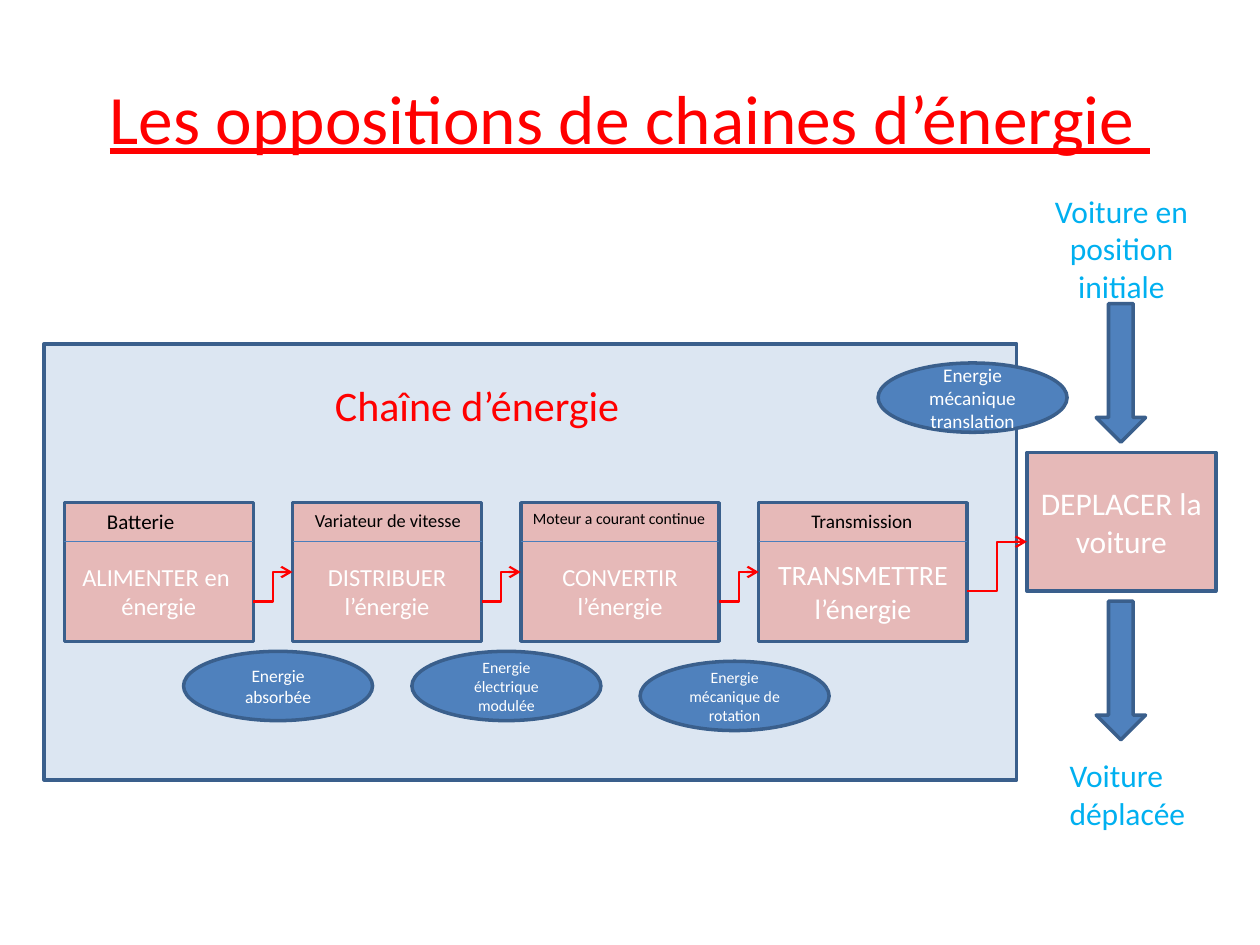
from lxml.etree import SubElement
from pptx import Presentation
from pptx.dml.color import RGBColor
from pptx.enum.shapes import MSO_CONNECTOR, MSO_SHAPE
from pptx.enum.text import MSO_ANCHOR, PP_ALIGN
from pptx.oxml.ns import qn
from pptx.util import Pt

RED = RGBColor(0xFF, 0x00, 0x00)
WHITE = RGBColor(0xFF, 0xFF, 0xFF)
BLACK = RGBColor(0x00, 0x00, 0x00)
SKY = RGBColor(0x00, 0xB0, 0xF0)
BLUE = RGBColor(0x4F, 0x81, 0xBD)
DIVIDER = RGBColor(0x4B, 0x7E, 0xBC)
OUTLINE = RGBColor(0x3A, 0x5F, 0x8C)
PALE = RGBColor(0xDC, 0xE6, 0xF2)
PINK = RGBColor(0xE6, 0xB9, 0xB8)
FONT = "Calibri"

TITLE = "Les oppositions de chaines d’énergie "
CHAIN = (25.2, 196.5, 555.8, 249.2)
CHAIN_LABEL = ("Chaîne d’énergie", 24, RED, (184.3, 213.1, 266.4, 36))

STAGE_TOP, STAGE_HEIGHT, HEADER_HEIGHT = 287.3, 79.2, 22.3
STAGES = [
    {"left": 36.8, "width": 108, "action": "ALIMENTER en \nénergie", "size": 14,
     "device": "Batterie", "device_size": 12, "device_left": 54},
    {"left": 167.2, "width": 108, "action": "DISTRIBUER\nl’énergie", "size": 14,
     "device": "Variateur de vitesse", "device_size": 10.5, "device_left": 172.8},
    {"left": 297.6, "width": 113.4, "action": "CONVERTIR\nl’énergie", "size": 14,
     "device": "Moteur a courant continue", "device_size": 9, "device_left": 297.4},
    {"left": 433.6, "width": 119.1, "action": "TRANSMETTRE\nl’énergie", "size": 16,
     "device": "Transmission", "device_size": 11, "device_left": 456.5},
]

ELLIPSE_SIZE = (108, 39.6)
ENERGIES = [
    ("Energie absorbée", 10, 104.9, 372.2),
    ("Energie mécanique de rotation", 9, 365.8, 377.9),
    ("Energie électrique modulée", 9, 235.4, 372.2),
    ("Energie mécanique translation", 11, 501.8, 207.4),
]

GOAL = ("DEPLACER la voiture", 18, (586.8, 258.6, 108, 79.2))
ARROW_LEFT, ARROW_SIZE = 626.4, (28.2, 79.2)
ARROW_TOPS = [173.5, 343.6]
STATES = [
    ("Voiture en position initiale", (592.6, 106, 96.5, 72.7), PP_ALIGN.CENTER),
    ("Voiture déplacée", (604.1, 428.6, 85, 51), PP_ALIGN.LEFT),
]


def points(*values):
    return [Pt(value) for value in values]


def write(shape, text, size, color, align):
    frame = shape.text_frame
    frame.word_wrap = True
    frame.text = text
    for paragraph in frame.paragraphs:
        paragraph.alignment = align
        for run in paragraph.runs:
            run.font.name = FONT
            run.font.size = Pt(size)
            run.font.color.rgb = color
    return frame


def add_block(slide, kind, box, fill, text="", size=18):
    shape = slide.shapes.add_shape(kind, *points(*box))
    shape.shadow.inherit = False
    shape.fill.solid()
    shape.fill.fore_color.rgb = fill
    shape.line.color.rgb = OUTLINE
    shape.line.width = Pt(2)
    if text:
        frame = write(shape, text, size, WHITE, PP_ALIGN.CENTER)
        frame.vertical_anchor = MSO_ANCHOR.MIDDLE
    return shape


def add_label(slide, text, size, color, box, align=PP_ALIGN.LEFT):
    write(slide.shapes.add_textbox(*points(*box)), text, size, color, align)


def add_line(slide, kind, ends, color, width):
    connector = slide.shapes.add_connector(kind, *points(*ends))
    connector.line.color.rgb = color
    connector.line.width = Pt(width)
    SubElement(connector._element.spPr, qn("a:effectLst"))
    return connector


def add_flow(slide, *ends):
    connector = add_line(slide, MSO_CONNECTOR.ELBOW, ends, RED, 1.25)
    SubElement(connector.line._get_or_add_ln(), qn("a:tailEnd"), type="arrow")


def add_stage(slide, stage):
    left, width = stage["left"], stage["width"]
    box = add_block(slide, MSO_SHAPE.RECTANGLE, (left, STAGE_TOP, width, STAGE_HEIGHT),
                    PINK, stage["action"], stage["size"])
    box.text_frame.margin_top = Pt(HEADER_HEIGHT + 3.3)
    divider = STAGE_TOP + HEADER_HEIGHT
    add_line(slide, MSO_CONNECTOR.STRAIGHT, (left, divider, left + width, divider), DIVIDER, 0.75)


def main():
    presentation = Presentation()
    presentation.slide_width, presentation.slide_height = points(720, 540)
    slide = presentation.slides.add_slide(presentation.slide_layouts[5])

    title = slide.shapes.title
    title.left, title.top, title.width, title.height = points(36, 21.6, 648, 90)
    frame = write(title, TITLE, 39.6, RED, PP_ALIGN.CENTER)
    frame.vertical_anchor = MSO_ANCHOR.MIDDLE
    frame.paragraphs[0].runs[0].font.underline = True

    add_block(slide, MSO_SHAPE.RECTANGLE, CHAIN, PALE)
    for stage in STAGES:
        add_stage(slide, stage)
    for source, target in zip(STAGES, STAGES[1:]):
        add_flow(slide, source["left"] + source["width"], STAGE_TOP + 56.4,
                 target["left"], STAGE_TOP + STAGE_HEIGHT / 2)

    for text, size, left, top in ENERGIES:
        add_block(slide, MSO_SHAPE.OVAL, (left, top, *ELLIPSE_SIZE), BLUE, text, size)

    goal_text, goal_size, goal_box = GOAL
    add_block(slide, MSO_SHAPE.RECTANGLE, goal_box, PINK, goal_text, goal_size)
    for top in ARROW_TOPS:
        add_block(slide, MSO_SHAPE.DOWN_ARROW, (ARROW_LEFT, top, *ARROW_SIZE), BLUE)
    for text, box, align in STATES:
        add_label(slide, text, 18, SKY, box, align)

    last = STAGES[-1]
    goal_left, goal_top, _, goal_height = goal_box
    add_flow(slide, last["left"] + last["width"], goal_top + goal_height,
             goal_left, STAGE_TOP + HEADER_HEIGHT)

    for stage in STAGES:
        add_label(slide, stage["device"], stage["device_size"], BLACK,
                  (stage["device_left"], STAGE_TOP, 140, HEADER_HEIGHT))
    add_label(slide, *CHAIN_LABEL)

    presentation.save("out.pptx")


if __name__ == "__main__":
    main()
